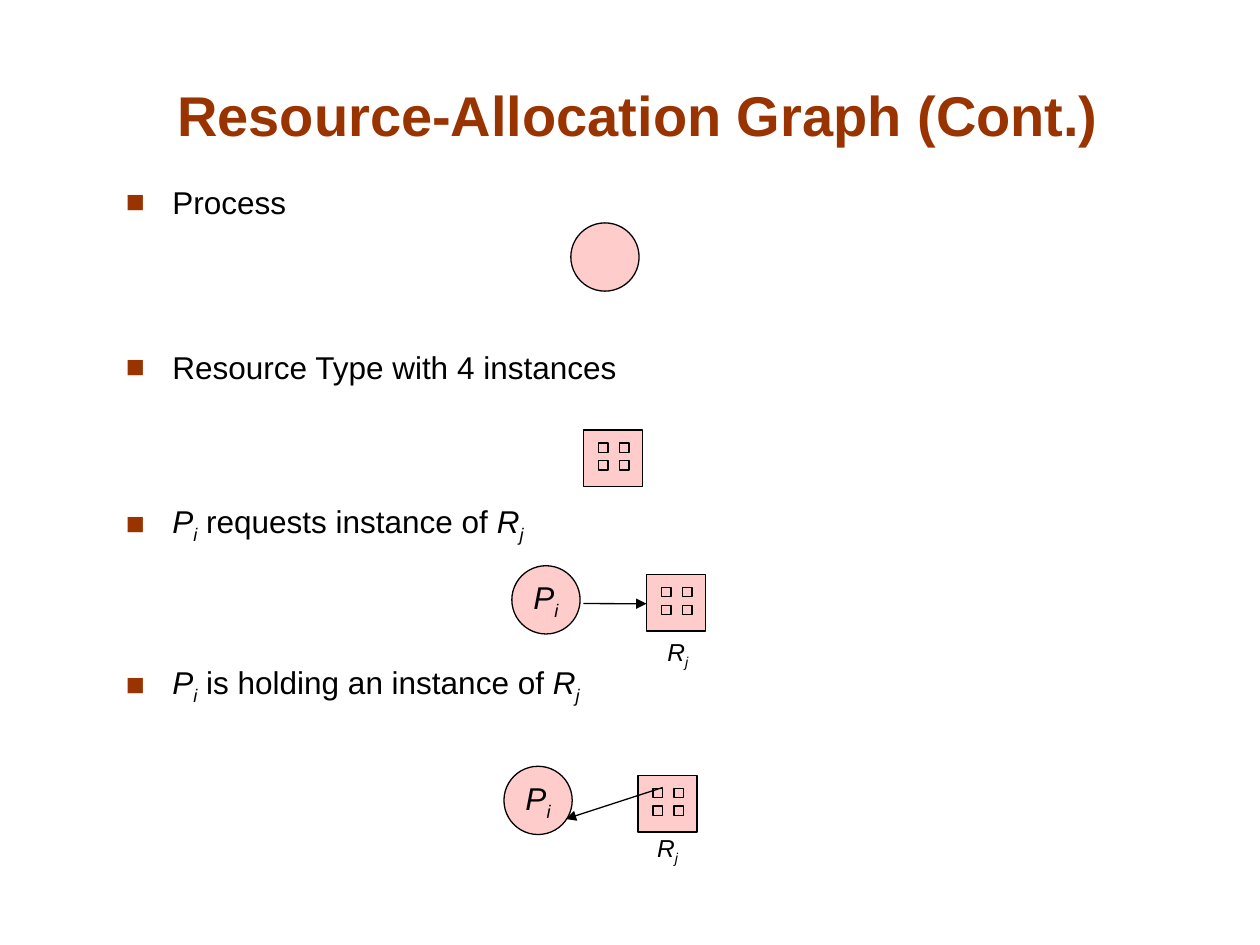
"""Build the resource-allocation graph legend slide."""
from lxml import etree
from pptx import Presentation
from pptx.dml.color import RGBColor
from pptx.enum.shapes import MSO_CONNECTOR, MSO_SHAPE
from pptx.enum.text import MSO_ANCHOR, MSO_AUTO_SIZE, PP_ALIGN
from pptx.oxml.ns import qn
from pptx.util import Pt

OVAL, RECTANGLE = MSO_SHAPE.OVAL, MSO_SHAPE.RECTANGLE
STRAIGHT = MSO_CONNECTOR.STRAIGHT
CENTER = PP_ALIGN.CENTER
TOP, MIDDLE, BOTTOM = MSO_ANCHOR.TOP, MSO_ANCHOR.MIDDLE, MSO_ANCHOR.BOTTOM
GROW = MSO_AUTO_SIZE.SHAPE_TO_FIT_TEXT
COLORS = {"accent": "993300", "ink": "000000", "node": "FFCCCC"}


def write(para, text, size=18, color="ink", bold=False, italic=False, subscript=False):
    span = para.add_run()
    span.text = text
    font = span.font
    font.name, font.size, font.bold, font.italic = "Arial", Pt(size), bold, italic
    font.color.rgb = RGBColor.from_string(COLORS[color])
    if subscript:
        font._element.set("baseline", "-25000")


def draw(shapes, kind, left, top, width, height):
    shape = shapes.add_shape(kind, Pt(left), Pt(top), Pt(width), Pt(height))
    shape.shadow.inherit = False
    shape.fill.solid()
    shape.fill.fore_color.rgb = RGBColor.from_string(COLORS["node"])
    shape.line.color.rgb = RGBColor.from_string(COLORS["ink"])
    shape.line.width = Pt(0.75)
    return shape


deck = Presentation()
deck.slide_width, deck.slide_height = Pt(720), Pt(540)
page = deck.slides.add_slide(deck.slide_layouts[6])

title = page.shapes.add_textbox(Pt(46.8), Pt(39.6), Pt(635.8), Pt(48.2)).text_frame
title.word_wrap, title.vertical_anchor = True, BOTTOM
title.paragraphs[0].alignment = CENTER
write(title.paragraphs[0], "Resource-Allocation Graph (Cont.)", size=32, color="accent", bold=True)

plain, symbol, index = {}, {"italic": True}, {"italic": True, "subscript": True}
items = [
    (7.9, [("Process", plain)]),
    (72.8, [("Resource Type with 4 instances", plain)]),
    (66.7, [("P", symbol), ("i", index), (" requests instance of ", plain), ("R", symbol), ("j", index)]),
    (67.4, [("P", symbol), ("i", index), (" is holding an instance of ", plain), ("R", symbol), ("j", index)]),
]
body = page.shapes.add_textbox(Pt(64.8), Pt(100.8), Pt(578.9), Pt(349.2)).text_frame
body.word_wrap, body.vertical_anchor = True, TOP
for number, (gap, spans) in enumerate(items):
    para = body.add_paragraph() if number else body.paragraphs[0]
    para.space_before = Pt(gap)
    properties = para._p.get_or_add_pPr()
    properties.set("marL", str(Pt(26.64)))
    properties.set("indent", str(-Pt(26.64)))
    bullet_color = etree.SubElement(properties, qn("a:buClr"))
    etree.SubElement(bullet_color, qn("a:srgbClr"), val=COLORS["accent"])
    etree.SubElement(properties, qn("a:buFont"), typeface="Arial")
    etree.SubElement(properties, qn("a:buChar"), char="■")
    for text, style in spans:
        write(para, text, **style)

for left, top, labelled in [(326.2, 127.4, False), (288, 437.9, True), (292.5, 323.3, True)]:
    process = draw(page.shapes, OVAL, left, top, 39, 39)
    if labelled:
        frame = process.text_frame
        frame.word_wrap, frame.vertical_anchor = False, MIDDLE
        para = frame.paragraphs[0]
        para.alignment = CENTER
        write(para, "P", **symbol)
        write(para, "i", **index)

for left, top in [(333.5, 245.7), (369.5, 328.2), (364.6, 443)]:
    resource = page.shapes.add_group_shape()
    draw(resource.shapes, RECTANGLE, left, top, 33.8, 32.4)
    for row in range(2):
        for column in range(2):
            draw(resource.shapes, RECTANGLE, left + 8.6 + 12 * column, top + 7.5 + 10.1 * row, 5.3, 5.3)

for left, top in [(374.4, 360), (368.6, 472.3)]:
    label = page.shapes.add_textbox(Pt(left), Pt(top), Pt(25.9), Pt(26.6)).text_frame
    label.word_wrap, label.auto_size, label.vertical_anchor = False, GROW, MIDDLE
    label.margin_left = label.margin_right = Pt(0)
    para = label.paragraphs[0]
    para.alignment = CENTER
    write(para, "R", size=14, **symbol)
    write(para, "j", size=14, **index)

for start_x, start_y, end_x, end_y in [(333.4, 344.9, 369.4, 345), (378.7, 450, 323.3, 468)]:
    arrow = page.shapes.add_connector(STRAIGHT, Pt(start_x), Pt(start_y), Pt(end_x), Pt(end_y))
    arrow.line.color.rgb = RGBColor.from_string(COLORS["ink"])
    arrow.line.width = Pt(0.75)
    etree.SubElement(arrow.line._get_or_add_ln(), qn("a:tailEnd"), type="triangle")
    etree.SubElement(arrow._element.spPr, qn("a:effectLst"))

deck.save("out.pptx")
